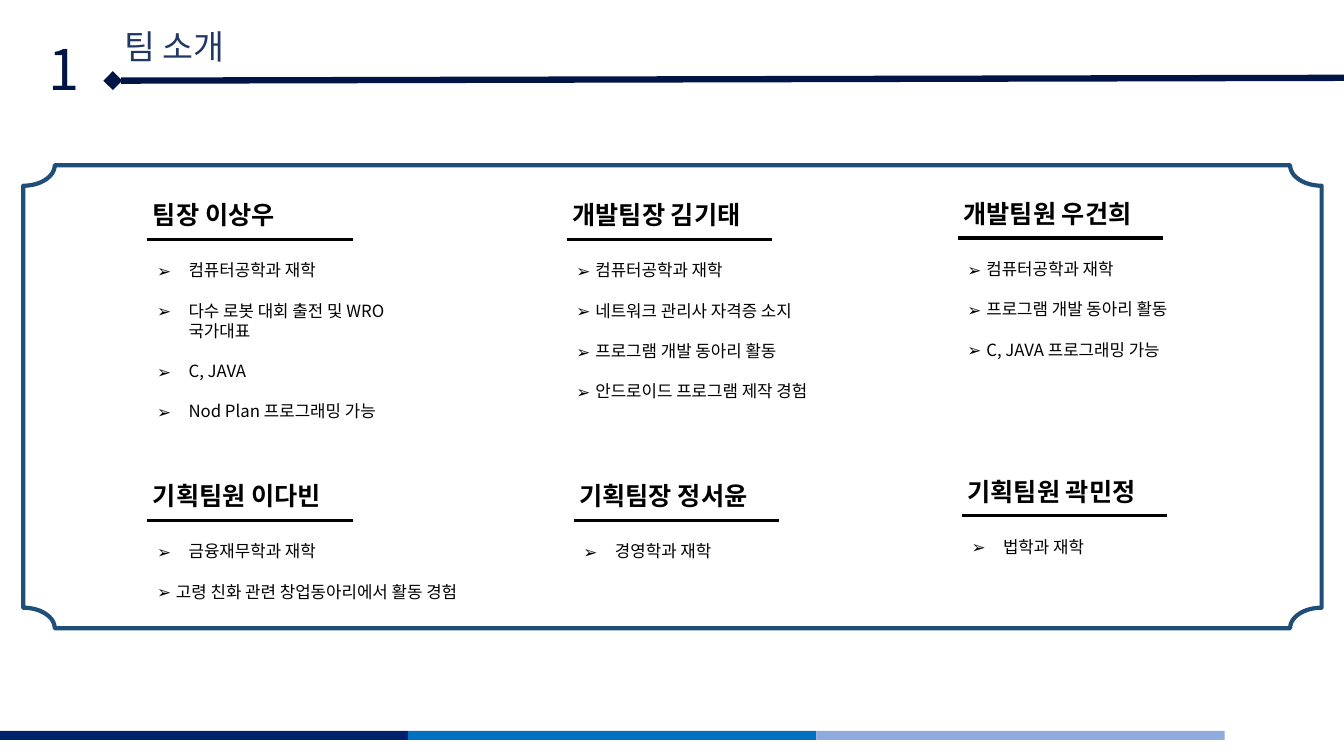
from math import cos, pi, sin

from lxml.etree import SubElement
from pptx import Presentation
from pptx.dml.color import RGBColor
from pptx.enum.shapes import MSO_CONNECTOR, MSO_SHAPE
from pptx.enum.text import MSO_ANCHOR, PP_ALIGN
from pptx.oxml.ns import qn
from pptx.util import Pt

FONT = "Noto Sans CJK KR"
WIDE, NARROW = 22.5, 13.5
BULLET_SIZE = 12
BAND_WIDTH = 291.6

MEMBERS = [
    ("팀장 이상우", 102.2, 139, 221, [
        ("컴퓨터공학과 재학", WIDE),
        ("다수 로봇 대회 출전 및 WRO 국가대표", WIDE),
        ("C, JAVA", WIDE),
        ("Nod Plan 프로그래밍 가능", WIDE)]),
    ("개발팀장 김기태", 401.8, 139, 199, [
        ("컴퓨터공학과 재학", NARROW),
        ("네트워크 관리사 자격증 소지", NARROW),
        ("프로그램 개발 동아리 활동", NARROW),
        ("안드로이드 프로그램 제작 경험", NARROW)]),
    ("개발팀원 우건희", 681.1, 138.2, 174, [
        ("컴퓨터공학과 재학", NARROW),
        ("프로그램 개발 동아리 활동", NARROW),
        ("C, JAVA 프로그래밍 가능", NARROW)]),
    ("기획팀원 이다빈", 102.2, 339.8, 256, [
        ("금융재무학과 재학", WIDE),
        ("고령 친화 관련 창업동아리에서 활동 경험", NARROW)]),
    ("기획팀원 곽민정", 684, 336.4, 115, [("법학과 재학", WIDE)]),
    ("기획팀장 정서윤", 406.8, 339.8, 115, [("경영학과 재학", WIDE)]),
]


def color(hex_code):
    return RGBColor.from_string(hex_code)


def style(paragraph, size, hex_code, bold=False):
    paragraph.alignment = PP_ALIGN.LEFT
    paragraph.line_spacing = Pt(size * 1.2)
    paragraph.space_before = Pt(0)
    for run in paragraph.runs:
        run.font.size = Pt(size)
        run.font.bold = bold
        run.font.color.rgb = color(hex_code)
        run.font.name = FONT
        SubElement(run.font._element, qn("a:ea"), typeface=FONT)


def add_label(shapes, text, left, top, width, height, size, hex_code, bold=False):
    label = shapes.add_textbox(Pt(left), Pt(top), Pt(width), Pt(height))
    label.text_frame.word_wrap = False
    label.text_frame.text = text
    style(label.text_frame.paragraphs[0], size, hex_code, bold)


def add_line(shapes, start, end, hex_code, width):
    line = shapes.add_connector(
        MSO_CONNECTOR.STRAIGHT, *(Pt(value) for value in start + end))
    line.line.color.rgb = color(hex_code)
    line.line.width = Pt(width)
    SubElement(line._element.spPr, qn("a:effectLst"))
    return line


def add_bullets(shapes, items, left, top, width):
    height = 7.2 + BULLET_SIZE * 1.2 * (2 * len(items) - 1)
    box = shapes.add_textbox(Pt(left), Pt(top), Pt(width), Pt(height))
    frame = box.text_frame
    frame.word_wrap = True
    for index, (text, indent) in enumerate(items):
        paragraph = frame.add_paragraph() if index else frame.paragraphs[0]
        paragraph.text = text
        properties = paragraph._p.get_or_add_pPr()
        properties.set("marL", str(Pt(indent)))
        properties.set("indent", str(-Pt(indent)))
        SubElement(properties, qn("a:buFont"), typeface=FONT)
        SubElement(properties, qn("a:buChar"), char="➢")
        style(paragraph, BULLET_SIZE, "000000")
        if index:
            paragraph.space_before = Pt(BULLET_SIZE * 1.2)


def add_member(slide, name, left, top, width, items):
    shapes = slide.shapes.add_group_shape().shapes
    add_label(shapes, name, left, top, 148, 28.8, 18, "000000", True)
    rule_left, rule_top = left + 2.9, top + 31.8
    add_line(shapes, (rule_left, rule_top), (rule_left + 147, rule_top), "000000", 2.25)
    add_bullets(shapes, items, rule_left, top + 43.2, width)


def add_frame(slide, left, top, right, bottom, notch_x, notch_y):
    steps = 16
    corners = [(left, top, 90), (right, top, 180), (right, bottom, 270), (left, bottom, 360)]
    outline = []
    for x, y, first in corners:
        for step in range(steps + 1):
            angle = (first - 90 * step / steps) * pi / 180
            outline.append((Pt(x + notch_x * cos(angle)), Pt(y + notch_y * sin(angle))))
    builder = slide.shapes.build_freeform(*outline[0])
    builder.add_line_segments(outline[1:], close=True)
    frame = builder.convert_to_shape()
    frame.shadow.inherit = False
    frame.fill.solid()
    frame.fill.fore_color.rgb = color("FFFFFF")
    frame.line.color.rgb = color("1F4E79")
    frame.line.width = Pt(3)


def add_footer(slide):
    for index, hex_code in enumerate(("00216C", "0070C0", "8FAADC")):
        band = slide.shapes.add_shape(
            MSO_SHAPE.RECTANGLE, Pt(index * BAND_WIDTH), Pt(522), Pt(BAND_WIDTH), Pt(6.5))
        band.shadow.inherit = False
        band.fill.solid()
        band.fill.fore_color.rgb = color(hex_code)
        band.line.fill.background()


def set_title(slide, text):
    title = slide.shapes.title
    title.left, title.top, title.width, title.height = Pt(81.4), Pt(15.1), Pt(95), Pt(36)
    title.text_frame.word_wrap = False
    title.text_frame.vertical_anchor = MSO_ANCHOR.TOP
    title.text_frame.text = text
    style(title.text_frame.paragraphs[0], 24, "203864")


def main():
    presentation = Presentation()
    presentation.slide_width, presentation.slide_height = Pt(960), Pt(540)
    slide = presentation.slides.add_slide(presentation.slide_layouts[5])
    set_title(slide, "팀 소개")
    add_footer(slide)
    header_rule = add_line(slide.shapes, (960, 55.6), (80.6, 57.6), "001545", 4.5)
    SubElement(header_rule.line._get_or_add_ln(), qn("a:tailEnd"), type="diamond")
    add_frame(slide, 16.6, 118, 944, 448.8, 22.5, 14.7)
    for member in MEMBERS:
        add_member(slide, *member)
    add_label(slide.shapes, "1", 27.4, 20.9, 39.6, 55.4, 40, "001545")
    presentation.save("out.pptx")


if __name__ == "__main__":
    main()
